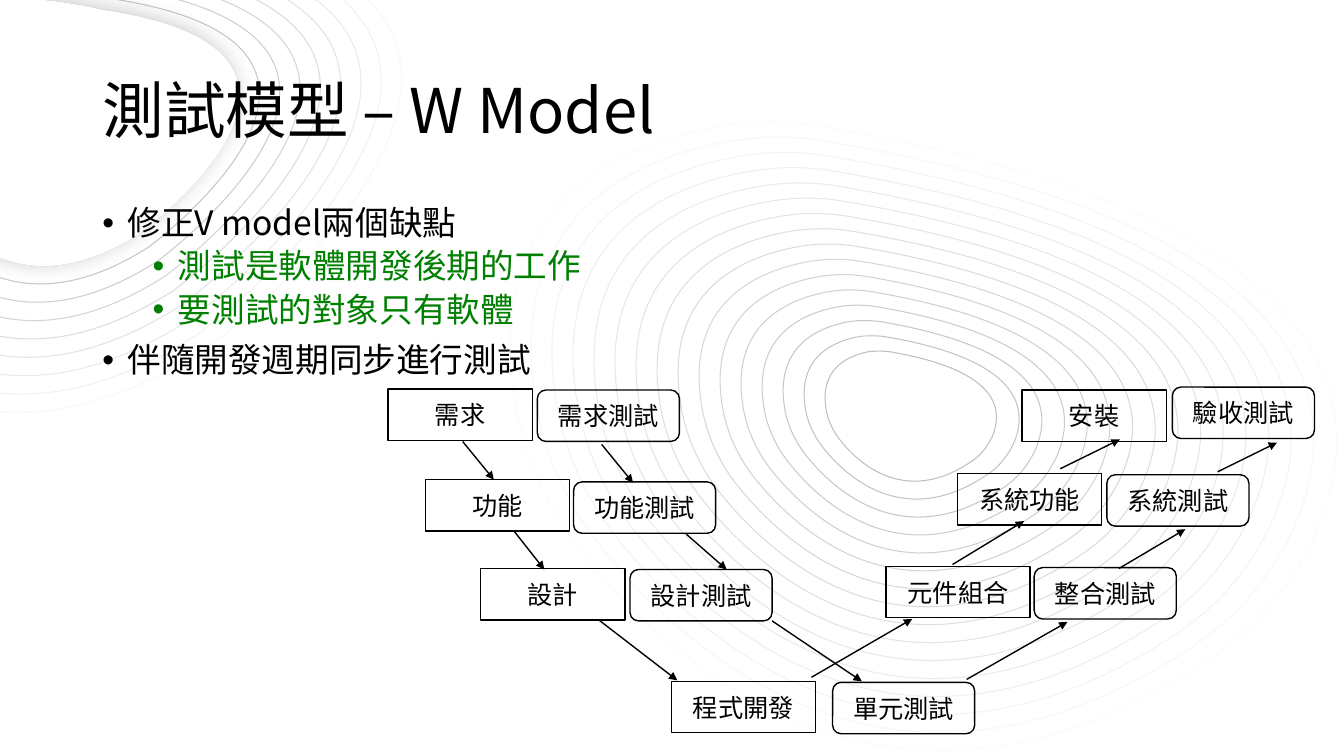
from lxml import etree
from pptx import Presentation
from pptx.dml.color import RGBColor
from pptx.enum import shapes, text
from pptx.oxml import parse_xml
from pptx.oxml.ns import nsdecls, qn
from pptx.util import Pt

FONT = "Noto Sans CJK SC"
HEX = {"ink": "000000", "green": "008000", "paper": "FFFFFF"}
TITLE = "測試模型 – W Model"
POINTS = [
    (0, "修正V model兩個缺點"),
    (1, "測試是軟體開發後期的工作"),
    (1, "要測試的對象只有軟體"),
    (0, "伴隨開發週期同步進行測試"),
]
LEVELS = [(18, 10, "ink"), (54, 5, "green")]

STAGES = [
    ("需求", 277.2, 277.9, "需求測試", 383.8, 278.6),
    ("功能", 303.8, 342.7, "功能測試", 409.7, 344.2),
    ("設計", 343.4, 406.1, "設計測試", 450, 406.8),
    ("程式開發", 479.5, 486.7, "單元測試", 594.7, 487.4),
    ("元件組合", 632.9, 404.6, "整合測試", 738.7, 405.4),
    ("系統功能", 684, 338.4, "系統測試", 790.6, 339.1),
    ("安裝", 730.1, 278.6, "驗收測試", 837.4, 276.5),
]
ARROWS = [
    (330.5, 315.4, 352.8, 342.7), (429.8, 317.5, 452.2, 344.9),
    (367.2, 379.4, 388.8, 406.8), (427.7, 442.8, 483.8, 486),
    (490.3, 381.6, 519.1, 406.8), (551.5, 443.5, 615.6, 486.7),
    (579.6, 483.8, 651.6, 442.1), (690.5, 485.3, 762.5, 444.2),
    (680.4, 403.2, 731.5, 372.2), (799.2, 406.1, 846.7, 378),
    (869.8, 337, 912.2, 316.1), (757.4, 334.8, 799.9, 313.9),
]

CORNER_OUT = [
    (93.6, -63.4), (93.6, -63.4), (-259.2, -154.1), (-192.2, 104.4),
    (-192.2, 104.4), (-100.1, 407.5), (148.3, 248.4),
    (148.3, 248.4), (493.9, -7.2), (93.6, -63.4),
]
CORNER_IN = [
    (72, 7.2), (72, 7.2), (-108, -39.6), (-74.2, 92.9),
    (-74.2, 92.9), (-26.6, 247), (100.1, 166.3),
    (100.1, 166.3), (276.5, 36), (72, 7.2),
]
HILL_IN = [
    (619.9, 251.3), (606.2, 254.2), (584.6, 262.8), (590.4, 293.8),
    (591.8, 301), (595.4, 308.2), (599.8, 313.9),
    (612.7, 330.5), (645.8, 361.4), (692.6, 330.5),
    (699.8, 326.2), (704.9, 319.7), (708.5, 312.5),
    (716.4, 294.5), (716.4, 265), (635.8, 251.3),
    (630.7, 250.6), (625, 250.6), (619.9, 251.3),
]
HILL_OUT = [
    (511.9, 90.7), (445.7, 102.2), (339.8, 144.7), (369.4, 295.2),
    (376.6, 330.5), (392.4, 364.3), (414.7, 393.1),
    (478.1, 473), (637.2, 622.1), (864, 470.9),
    (896.4, 449.3), (922.3, 419), (938.9, 383),
    (977, 299.5), (975.6, 157), (589.7, 90.7),
    (563.8, 85.7), (537.8, 85.7), (511.9, 90.7),
]
RINGS = [
    (CORNER_OUT, CORNER_IN, 9, 0xF8, 0xBF),
    (HILL_IN, HILL_OUT, 16, 0xBF, 0xFB),
]


def tint(name):
    return RGBColor.from_string(HEX[name])


def blend(start, end, part):
    return [tuple(a + (b - a) * part for a, b in zip(p, q))
            for p, q in zip(start, end)]


def bend(ring):
    legs = list(ring._element.iter(qn("a:lnTo")))
    for i in range(0, len(legs), 3):
        curve = etree.Element(qn("a:cubicBezTo"))
        legs[i].addprevious(curve)
        for leg in legs[i:i + 3]:
            curve.append(leg[0])
            leg.getparent().remove(leg)


def contour(slide, knots, shade):
    dots = [tuple(map(Pt, knot)) for knot in knots]
    pen = slide.shapes.build_freeform(*dots[0], scale=1.0)
    pen.add_line_segments(dots[1:], close=True)
    ring = pen.convert_to_shape()
    bend(ring)
    ring.shadow.inherit = False
    ring.fill.background()
    ring.line.width = Pt(0.75)
    ring.line.color.rgb = RGBColor(shade, shade, shade)
    return ring


def style(para, size, name):
    for run in para.runs:
        run.font.size = Pt(size)
        run.font.name = FONT
        run.font.color.rgb = tint(name)
        face = etree.SubElement(run.font._element, qn("a:ea"))
        face.set("typeface", FONT)


def stage(slide, kind, label, x, y, wide):
    box = slide.shapes.add_shape(kind, Pt(x), Pt(y), Pt(wide), Pt(36.7))
    box.shadow.inherit = False
    box.fill.background()
    box.line.color.rgb = tint("ink")
    box.line.width = Pt(1)
    frame = box.text_frame
    frame.word_wrap = False
    frame.vertical_anchor = text.MSO_ANCHOR.MIDDLE
    frame.margin_left = frame.margin_right = Pt(11.5)
    frame.margin_top = frame.margin_bottom = Pt(5.8)
    frame.text = label
    para = frame.paragraphs[0]
    para.alignment = text.PP_ALIGN.CENTER
    style(para, 18, "ink")


def arrow(slide, ends):
    link = slide.shapes.add_connector(
        shapes.MSO_CONNECTOR.STRAIGHT, *map(Pt, ends))
    link.line.color.rgb = tint("ink")
    link.line.width = Pt(1)
    etree.SubElement(link.line._get_or_add_ln(), qn("a:tailEnd"), type="triangle")
    etree.SubElement(link._element.spPr, qn("a:effectLst"))


def main():
    deck = Presentation()
    deck.slide_width, deck.slide_height = Pt(960), Pt(540)
    slide = deck.slides.add_slide(deck.slide_layouts[5])

    for start, end, count, dark, light in RINGS:
        for i in range(count):
            part = i / (count - 1)
            contour(slide, blend(start, end, part),
                    round(dark + (light - dark) * part))
        if start is CORNER_OUT:
            blob = contour(slide, CORNER_IN, 0xFF)
            blob.fill.solid()
            blob.fill.fore_color.rgb = tint("paper")
            glow = blob._element.spPr.find(qn("a:effectLst"))
            glow.append(parse_xml(
                f'<a:outerShdw {nsdecls("a")} blurRad="{Pt(15)}" dist="{Pt(3)}"'
                ' dir="13500000" algn="ctr" rotWithShape="0">'
                f'<a:srgbClr val="{HEX["ink"]}"><a:alpha val="20000"/>'
                '</a:srgbClr></a:outerShdw>'))

    title = slide.shapes.title
    title.element.getparent().append(title.element)
    title.left, title.top, title.width, title.height = map(Pt, (66, 28.8, 828, 104.4))
    frame = title.text_frame
    frame.text = TITLE
    frame.word_wrap = True
    frame.vertical_anchor = text.MSO_ANCHOR.MIDDLE
    para = frame.paragraphs[0]
    para.alignment = text.PP_ALIGN.LEFT
    para.line_spacing = 0.9
    style(para, 44, "ink")

    frame = slide.shapes.add_textbox(*map(Pt, (66, 144, 828, 342.7))).text_frame
    frame.word_wrap = True
    for i, (level, words) in enumerate(POINTS):
        para = frame.add_paragraph() if i else frame.paragraphs[0]
        indent, gap, name = LEVELS[level]
        para.text = words
        para.level = level
        para.line_spacing = 0.9
        if i:
            para.space_before = Pt(gap)
        props = para._p.get_or_add_pPr()
        props.set("marL", str(Pt(indent)))
        props.set("indent", str(Pt(-18)))
        etree.SubElement(props, qn("a:buFont"), typeface="Arial")
        etree.SubElement(props, qn("a:buChar"), char="•")
        style(para, 24, name)

    for work, x, y, test, tx, ty in STAGES:
        stage(slide, shapes.MSO_SHAPE.RECTANGLE, work, x, y, 103)
        stage(slide, shapes.MSO_SHAPE.ROUNDED_RECTANGLE, test, tx, ty, 101.5)
    for ends in ARROWS:
        arrow(slide, ends)

    deck.save("out.pptx")


if __name__ == "__main__":
    main()
